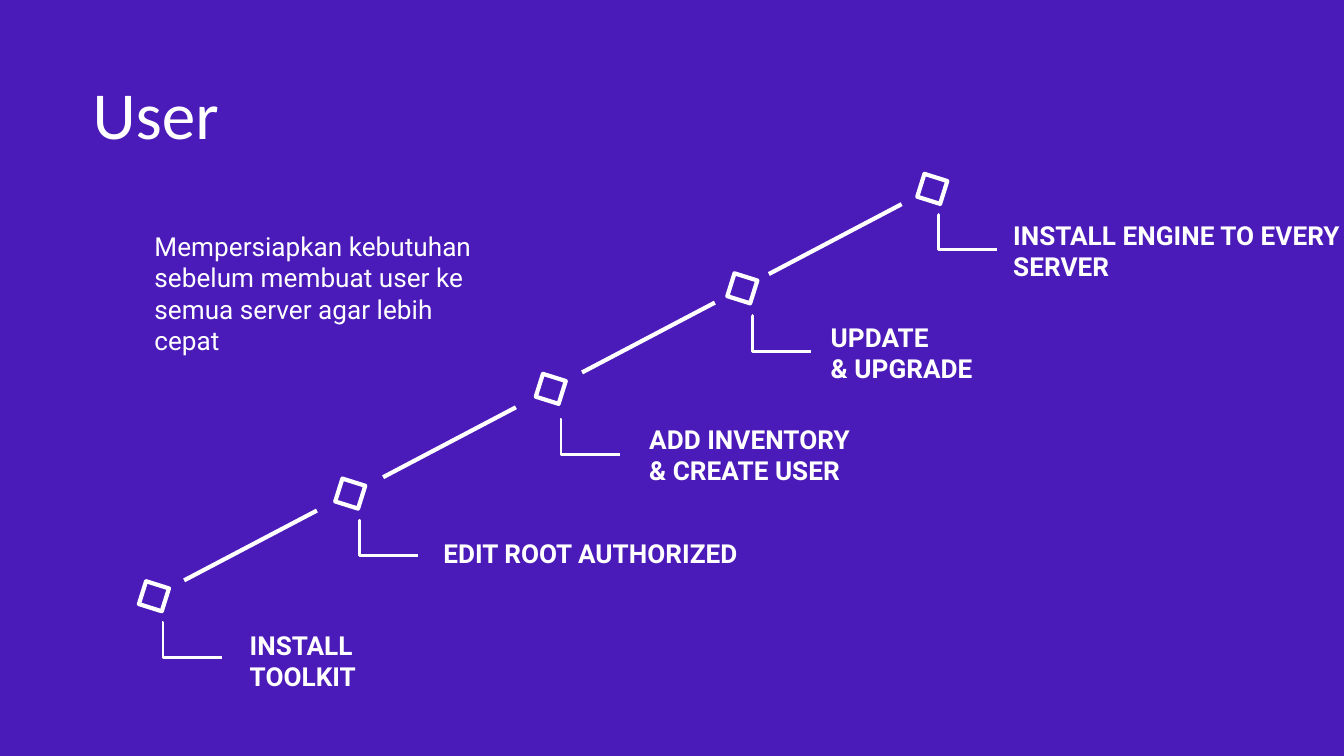
from dataclasses import dataclass
from typing import Optional

import pptx
import pptx.dml.color
import pptx.enum.shapes
import pptx.enum.text
import pptx.oxml
import pptx.oxml.ns
import pptx.util
from pptx.util import Cm

PURPLE = pptx.dml.color.RGBColor(0x4B, 0x1B, 0xB9)
WHITE = pptx.dml.color.RGBColor(0xFF, 0xFF, 0xFF)
CONNECTOR = pptx.enum.shapes.MSO_CONNECTOR
ANCHOR = pptx.enum.text.MSO_ANCHOR

# Common sizes in centimetres
MARKER = 0.64
RAIL_W, RAIL_H = 2.51, -1.32
ELBOW_W, ELBOW_H = 1.12, 0.67
INSET = 0.25

TITLE = dict(size=pptx.util.Pt(36), name="Calibri", bold=False)
BODY = dict(size=pptx.util.Pt(14), name="Roboto", bold=False)
LABEL = dict(BODY, bold=True)


@dataclass
class Point:
    x: float
    y: float


@dataclass
class Step:
    text: str
    marker: Point
    elbow: Point
    label: Point
    label_w: float = 7.75
    label_h: float = 1.45
    rail: Optional[Point] = None  # start of the line to the next step


STEPS = [
    Step("INSTALL\nTOOLKIT", Point(2.59, 10.95), Point(3.07, 11.76),
         Point(4.72, 11.76), rail=Point(3.48, 10.97)),
    Step("EDIT ROOT AUTHORIZED", Point(6.3, 9.01), Point(6.78, 9.83),
         Point(8.38, 10.03), label_h=0.86, rail=Point(7.24, 9.02)),
    Step("ADD INVENTORY\v& CREATE USER", Point(10.09, 7.03), Point(10.59, 7.92),
         Point(12.27, 7.87), rail=Point(11, 7.04)),
    Step("UPDATE\n& UPGRADE", Point(13.71, 5.13), Point(14.21, 5.97),
         Point(15.7, 5.94), rail=Point(14.53, 5.18)),
    Step("INSTALL ENGINE TO EVERY SERVER", Point(17.3, 3.25), Point(17.73, 4.05),
         Point(19.15, 4.01), label_w=6.25),
]


def add_text(s, text: str, at: Point, w: float, h: float, font: dict,
             anchor=ANCHOR.TOP, side: float = INSET, edge: float = INSET) -> None:
    tf = s.shapes.add_textbox(Cm(at.x), Cm(at.y), Cm(w), Cm(h)).text_frame
    frame = dict(word_wrap=True, vertical_anchor=anchor,
                 margin_left=Cm(side), margin_right=Cm(side),
                 margin_top=Cm(edge), margin_bottom=Cm(edge), text=text)
    for key, value in frame.items():
        setattr(tf, key, value)
    for p in tf.paragraphs:
        for r in p.runs:
            r.font.color.rgb = WHITE
            for key, value in font.items():
                setattr(r.font, key, value)


def add_marker(s, at: Point) -> None:
    sp = s.shapes.add_shape(pptx.enum.shapes.MSO_SHAPE.DIAMOND,
                            Cm(at.x), Cm(at.y), Cm(MARKER), Cm(MARKER))
    sp.rotation = 332.4
    sp.shadow.inherit = False
    sp.fill.background()
    sp.line.color.rgb = WHITE
    sp.line.width = pptx.util.Pt(2.25)


def add_line(s, kind, start: Point, w: float, h: float, weight: float):
    line = s.shapes.add_connector(kind, Cm(start.x), Cm(start.y),
                                  Cm(start.x + w), Cm(start.y + h))
    line.line.color.rgb = WHITE
    line.line.width = pptx.util.Pt(weight)
    pptx.oxml.ns.qn("a:effectLst")
    line._element.spPr.append(pptx.oxml.parse_xml(
        f'<a:effectLst {pptx.oxml.ns.nsdecls("a")}/>'))
    return line


def add_elbow(s, start: Point) -> None:
    line = add_line(s, CONNECTOR.ELBOW, start, ELBOW_W, ELBOW_H, 1.5)
    # Move the bend to the left end so the line drops first, then runs right
    guides = line._element.spPr.find(".//" + pptx.oxml.ns.qn("a:avLst"))
    guides.append(pptx.oxml.parse_xml(
        f'<a:gd {pptx.oxml.ns.nsdecls("a")} name="adj1" fmla="val 1200"/>'))


def main() -> None:
    prs = pptx.Presentation()
    prs.slide_width, prs.slide_height = Cm(25.4), Cm(14.29)
    s = prs.slides.add_slide(prs.slide_layouts[6])
    s.background.fill.solid()
    s.background.fill.fore_color.rgb = PURPLE

    # Title and introduction
    add_text(s, "User", Point(1.5, 1.32), 13.44, 1.83, TITLE, ANCHOR.BOTTOM)
    add_text(s, "Mempersiapkan kebutuhan sebelum membuat user ke semua server "
             "agar lebih cepat", Point(2.67, 4.22), 7.04, 2.64, BODY,
             ANCHOR.MIDDLE, edge=0.13)

    # Rising staircase of steps
    for step in STEPS:
        add_marker(s, step.marker)
        if step.rail:
            add_line(s, CONNECTOR.STRAIGHT, step.rail, RAIL_W, RAIL_H, 2.25)
        add_elbow(s, step.elbow)
        add_text(s, step.text, step.label, step.label_w, step.label_h, LABEL,
                 side=0, edge=0.13)

    prs.save("out.pptx")


if __name__ == "__main__":
    main()
